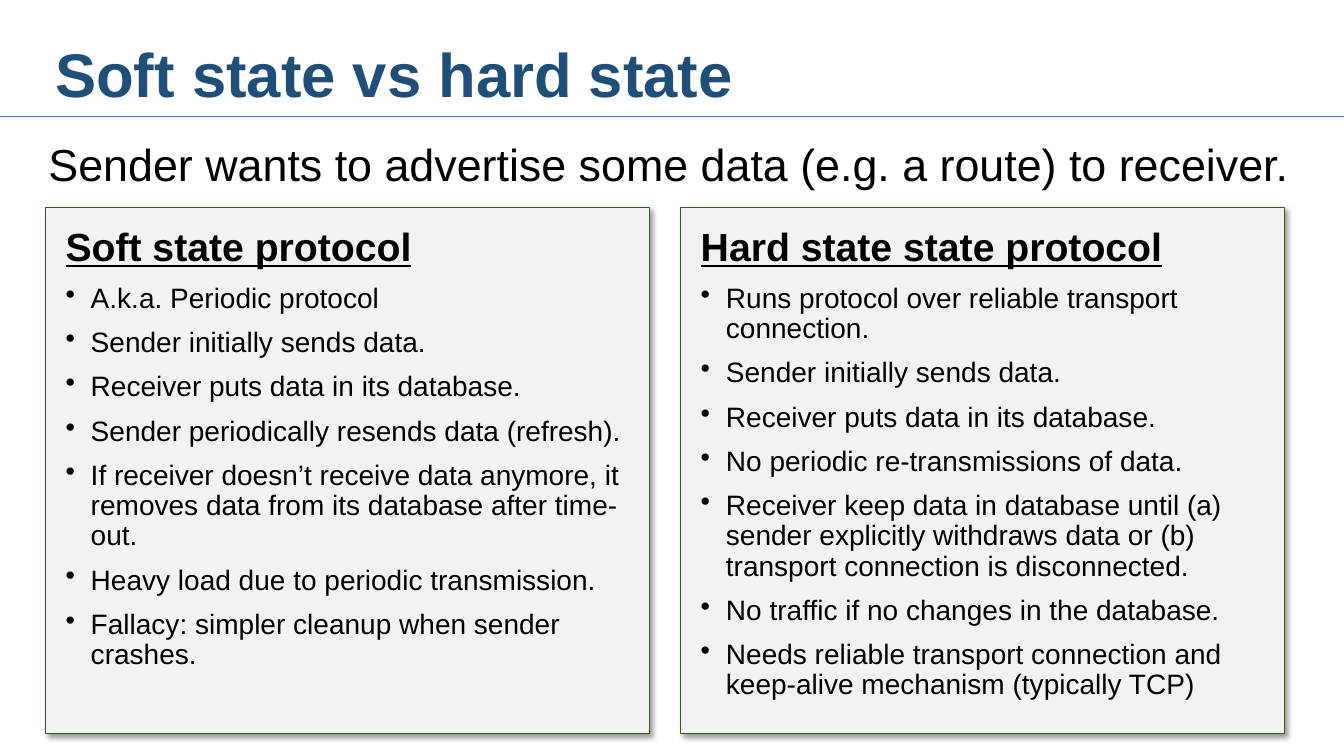
import dataclasses

import lxml.etree
import pptx
import pptx.dml.color
import pptx.enum.shapes
import pptx.enum.text
import pptx.oxml.ns
import pptx.util

Inches = pptx.util.Inches
Pt = pptx.util.Pt
qn = pptx.oxml.ns.qn


@dataclasses.dataclass(frozen=True)
class Theme:
    font: str = "Arial"
    title_color: str = "1F4E79"
    text_color: str = "000000"
    rule_color: str = "4472C4"
    panel_fill: str = "F2F2F2"
    panel_line: str = "385723"
    shadow_color: str = "000000"
    title_size: int = 44
    lead_size: int = 32
    heading_size: int = 28
    bullet_size: int = 20


THEME = Theme()

SLIDE_WIDTH, SLIDE_HEIGHT = 13.33, 7.5
MARGIN = 0.45
COLUMN_WIDTH, COLUMN_GAP = 5.99, 0.31
PANEL_TOP, PANEL_HEIGHT = 2.06, 5.22
PANEL_INSET = 0.2
BULLET_INDENT = 0.25

SOFT_STATE = [
    "A.k.a. Periodic protocol",
    "Sender initially sends data.",
    "Receiver puts data in its database.",
    "Sender periodically resends data (refresh).",
    "If receiver doesn’t receive data anymore, it removes data from its "
    "database after time-out.",
    "Heavy load due to periodic transmission.",
    "Fallacy: simpler cleanup when sender crashes.",
]
HARD_STATE = [
    "Runs protocol over reliable transport connection.",
    "Sender initially sends data.",
    "Receiver puts data in its database.",
    "No periodic re-transmissions of data.",
    "Receiver keep data in database until (a) sender explicitly withdraws "
    "data or (b) transport connection is disconnected.",
    "No traffic if no changes in the database.",
    "Needs reliable transport connection and keep-alive mechanism "
    "(typically TCP)",
]
PANELS = [
    ("Soft state protocol", SOFT_STATE, PANEL_INSET),
    ("Hard state state protocol", HARD_STATE, 0),
]


def rgb(color):
    return pptx.dml.color.RGBColor.from_string(color)


def add_bullet(para):
    properties = para._p.get_or_add_pPr()
    properties.set("marL", str(Inches(BULLET_INDENT)))
    properties.set("indent", str(-Inches(BULLET_INDENT)))
    lxml.etree.SubElement(properties, qn("a:buChar")).set("char", "•")


def write(frame, text, size, color=THEME.text_color, bold=False,
          underline=False, bullet=False,
          align=pptx.enum.text.PP_ALIGN.LEFT):
    """Write one paragraph, reusing the empty first one of the frame."""
    first = not frame.text
    para = frame.paragraphs[0] if first else frame.add_paragraph()
    para.alignment = align
    para.line_spacing = 0.9
    if not first:
        para.space_before = Pt(10)
    if bullet:
        add_bullet(para)
    span = para.add_run()
    span.text = text
    span.font.name = THEME.font
    span.font.size = Pt(size)
    span.font.bold = bold
    span.font.underline = underline
    span.font.color.rgb = rgb(color)


def add_text_box(page, left, top, width, height,
                 anchor=pptx.enum.text.MSO_ANCHOR.TOP):
    box = page.shapes.add_textbox(
        Inches(left), Inches(top), Inches(width), Inches(height))
    box.text_frame.word_wrap = True
    box.text_frame.vertical_anchor = anchor
    return box.text_frame


def add_rule(page, top):
    rule = page.shapes.add_connector(
        pptx.enum.shapes.MSO_CONNECTOR.STRAIGHT,
        0, Inches(top), Inches(SLIDE_WIDTH), Inches(top))
    rule.line.color.rgb = rgb(THEME.rule_color)
    rule.line.width = Pt(0.5)
    lxml.etree.SubElement(rule._element.spPr, qn("a:effectLst"))


def add_shadow(shape):
    """Give the shape a soft shadow towards the lower right."""
    shape.shadow.inherit = False
    effects = shape._element.spPr.find(qn("a:effectLst"))
    shadow = lxml.etree.SubElement(
        effects, qn("a:outerShdw"), blurRad=str(Pt(4)), dist=str(Pt(3)),
        dir=str(45 * 60000), algn="tl", rotWithShape="0")
    color = lxml.etree.SubElement(
        shadow, qn("a:srgbClr"), val=THEME.shadow_color)
    lxml.etree.SubElement(color, qn("a:alpha"), val="40000")


def add_panel(page, column, heading, bullets, bottom_inset):
    left = MARGIN + column * (COLUMN_WIDTH + COLUMN_GAP)
    panel = page.shapes.add_shape(
        pptx.enum.shapes.MSO_SHAPE.RECTANGLE, Inches(left),
        Inches(PANEL_TOP), Inches(COLUMN_WIDTH), Inches(PANEL_HEIGHT))
    panel.fill.solid()
    panel.fill.fore_color.rgb = rgb(THEME.panel_fill)
    panel.line.color.rgb = rgb(THEME.panel_line)
    panel.line.width = Pt(0.75)
    add_shadow(panel)

    frame = panel.text_frame
    frame.word_wrap = True
    frame.vertical_anchor = pptx.enum.text.MSO_ANCHOR.TOP
    frame.margin_left = frame.margin_right = Inches(PANEL_INSET)
    frame.margin_top = Inches(PANEL_INSET)
    frame.margin_bottom = Inches(bottom_inset)
    write(frame, heading, THEME.heading_size, bold=True, underline=True)
    for bullet in bullets:
        write(frame, bullet, THEME.bullet_size, bullet=True)


def main():
    deck = pptx.Presentation()
    deck.slide_width = Inches(SLIDE_WIDTH)
    deck.slide_height = Inches(SLIDE_HEIGHT)
    page = deck.slides.add_slide(deck.slide_layouts[6])

    add_rule(page, 1.15)
    title = add_text_box(page, MARGIN, 0.36, 12.39, 0.81,
                         anchor=pptx.enum.text.MSO_ANCHOR.MIDDLE)
    write(title, "Soft state vs hard state", THEME.title_size,
          color=THEME.title_color, bold=True)
    lead = add_text_box(page, 0.14, 1.37, 13, 0.91)
    write(lead,
          "Sender wants to advertise some data (e.g. a route) to receiver.",
          THEME.lead_size, align=pptx.enum.text.PP_ALIGN.CENTER)
    for column, (heading, bullets, bottom_inset) in enumerate(PANELS):
        add_panel(page, column, heading, bullets, bottom_inset)

    deck.save("out.pptx")


if __name__ == "__main__":
    main()
